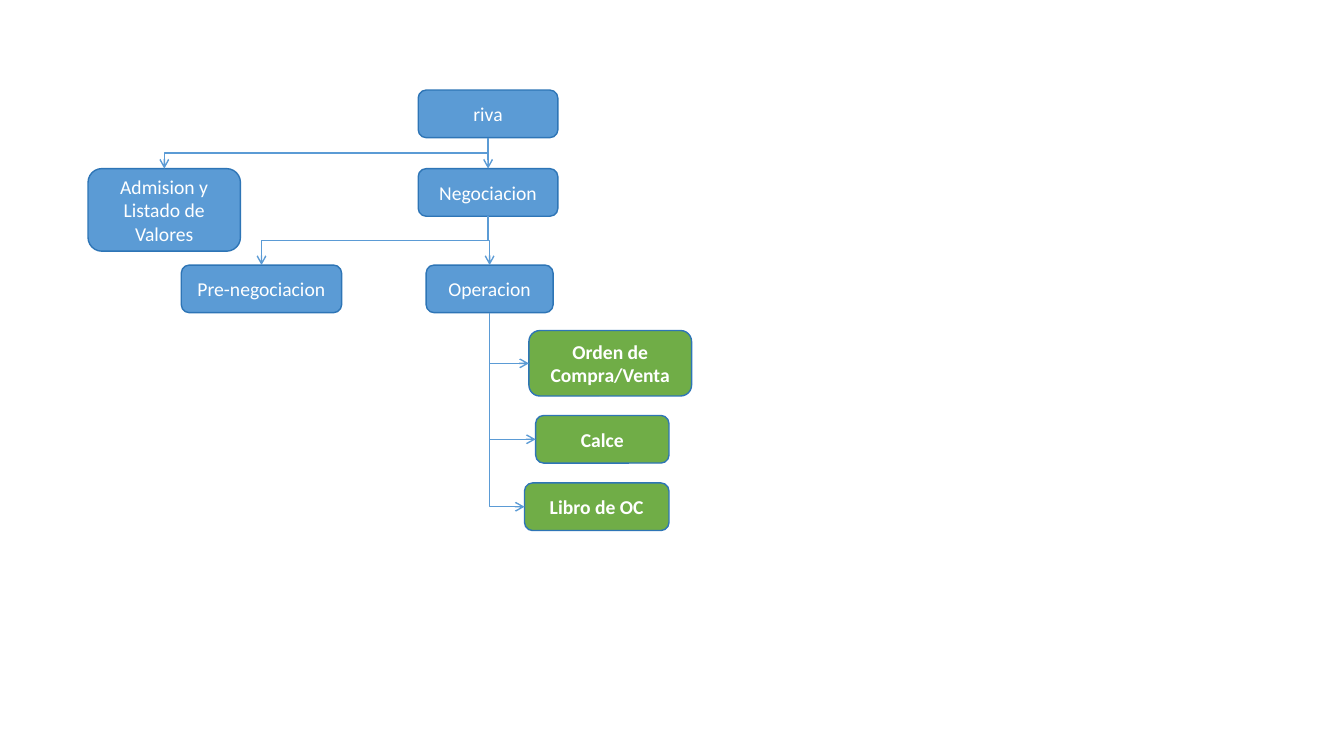
from pptx import Presentation
from pptx import util as u
from pptx.dml import color
from pptx.enum import shapes, text
from pptx.oxml import ns, xmlchemy

BLUE, GREEN, BORDER, WHITE = "5B9BD5", "70AD47", "2E75B6", "FFFFFF"
BOTTOM, LEFT, TOP = 2, 1, 0


def rgb(value):
    return color.RGBColor.from_string(value)


class Chart:
    font = "Calibri"
    size = u.Pt(14)
    weight = u.Pt(1)

    def __init__(self, slide):
        self.slide = slide

    def box(self, label, left, top, width, height=1.2, fill=BLUE, bold=False):
        node = self.slide.shapes.add_shape(
            shapes.MSO_SHAPE.ROUNDED_RECTANGLE,
            u.Cm(left), u.Cm(top), u.Cm(width), u.Cm(height))
        node.shadow.inherit = False
        node.fill.solid()
        node.fill.fore_color.rgb = rgb(fill)
        node.line.color.rgb = rgb(BORDER)
        node.line.width = self.weight
        frame = node.text_frame
        frame.word_wrap = True
        frame.vertical_anchor = text.MSO_ANCHOR.MIDDLE
        paragraph = frame.paragraphs[0]
        paragraph.text = label
        paragraph.alignment = text.PP_ALIGN.CENTER
        paragraph.font.name = self.font
        paragraph.font.size = self.size
        paragraph.font.bold = bold
        paragraph.font.color.rgb = rgb(WHITE)
        return node

    def branch(self, parent, child, side=TOP):
        link = self.slide.shapes.add_connector(
            shapes.MSO_CONNECTOR.ELBOW, 0, 0, 0, 0)
        link.begin_connect(parent, BOTTOM)
        link.end_connect(child, side)
        self.turn_down(link, "bentConnector2" if side == LEFT else "bentConnector3")
        link.line.color.rgb = rgb(BLUE)
        link.line.width = self.weight
        properties = link._element.spPr
        outline = properties.find(ns.qn("a:ln"))
        arrow = xmlchemy.OxmlElement("a:tailEnd")
        arrow.set("type", "arrow")
        outline.append(arrow)
        properties.append(xmlchemy.OxmlElement("a:effectLst"))

    def turn_down(self, link, preset):
        across = link.end_x - link.begin_x
        down = link.end_y - link.begin_y
        middle_x = (link.begin_x + link.end_x) // 2
        middle_y = (link.begin_y + link.end_y) // 2
        link.width, link.height = down, abs(across)
        link.left = middle_x - down // 2
        link.top = middle_y - abs(across) // 2
        properties = link._element.spPr
        frame = properties.find(ns.qn("a:xfrm"))
        for flip in ("flipH", "flipV"):
            frame.attrib.pop(flip, None)
        frame.set("rot", "5400000")
        if across > 0:
            frame.set("flipV", "1")
        properties.find(ns.qn("a:prstGeom")).set("prst", preset)


def main():
    deck = Presentation()
    deck.slide_width, deck.slide_height = u.Cm(33.87), u.Cm(19.05)
    chart = Chart(deck.slides.add_slide(deck.slide_layouts[6]))

    exchange = chart.box("riva", 10.54, 2.27, 3.52)
    admission = chart.box("Admision y Listado de Valores", 2.22, 4.25, 3.84, 2.08)
    trading = chart.box("Negociacion", 10.54, 4.25, 3.52)
    pre_trading = chart.box("Pre-negociacion", 4.57, 6.68, 4.04)
    operation = chart.box("Operacion", 10.74, 6.68, 3.2)
    steps = [
        chart.box(label, left, top, width, height, GREEN, True)
        for label, left, top, width, height in (
            ("Orden de Compra/Venta", 13.33, 8.33, 4.1, 1.65),
            ("Calce", 13.5, 10.47, 3.36, 1.2),
            ("Libro de OC", 13.22, 12.17, 3.64, 1.2),
        )
    ]

    for parent, children in ((exchange, (admission, trading)),
                             (trading, (pre_trading, operation))):
        for child in children:
            chart.branch(parent, child)
    for step in steps:
        chart.branch(operation, step, LEFT)

    deck.save("out.pptx")


if __name__ == "__main__":
    main()
